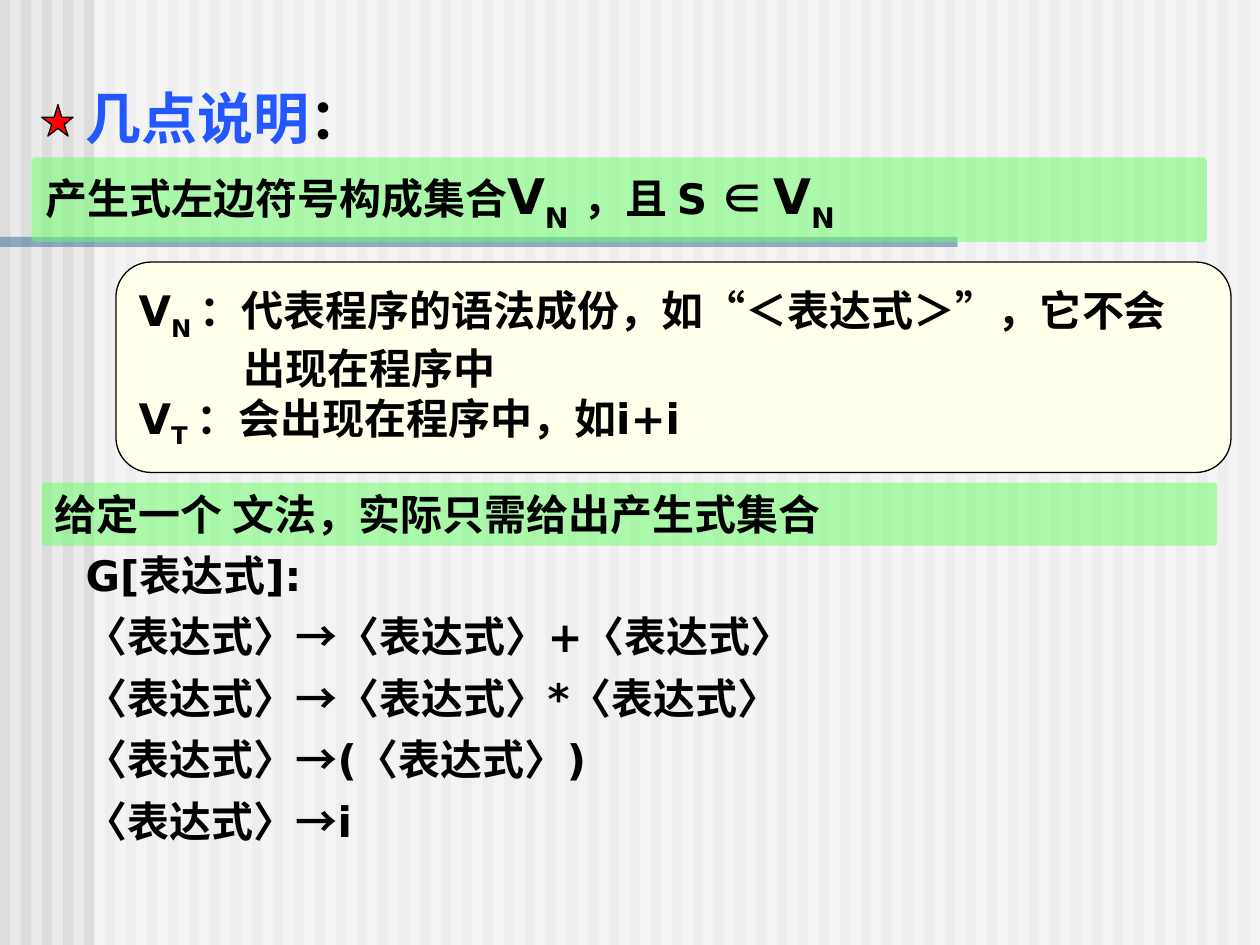
from lxml import etree
from pptx import Presentation
from pptx import util as u
from pptx.dml.color import RGBColor
from pptx.enum import shapes, text
from pptx.oxml import ns

hue = RGBColor.from_string
kind = shapes.MSO_SHAPE
align = text.PP_ALIGN
face = "DejaVu Sans"
cjk = "Noto Sans CJK SC"


def paint(shape, fill, alpha=100, edge=None):
    shape.shadow.inherit = False
    shape.fill.solid()
    shape.fill.fore_color.rgb = hue(fill)
    if alpha < 100:
        tint = shape.fill._xPr.find(".//" + ns.qn("a:srgbClr"))
        etree.SubElement(tint, ns.qn("a:alpha"), val=str(alpha * 1000))
    if edge:
        shape.line.color.rgb = hue(edge)
        shape.line.width = u.Pt(0.75)
    else:
        shape.line.fill.background()


def write(shape, lines, frame, para):
    body = shape.text_frame
    for name, val in {"word_wrap": True, "auto_size": text.MSO_AUTO_SIZE.NONE, **frame}.items():
        setattr(body, name, val)
    for n, line in enumerate(lines):
        p = body.paragraphs[0] if n == 0 else body.add_paragraph()
        prop = p._p.get_or_add_pPr()
        prop.set("marL", "0")
        prop.set("indent", "0")
        etree.SubElement(prop, ns.qn("a:buNone"))
        for name, val in {"space_before": u.Pt(0), **para}.items():
            setattr(p, name, val)
        if n == 0:
            p.space_before = u.Pt(0)
        for words, size, look in line:
            run = p.add_run()
            run.text = words
            style = {"size": u.Pt(size), "bold": True, "name": look.get("face", face)}
            for name, val in style.items():
                setattr(run.font, name, val)
            run.font.color.rgb = hue(look.get("color", "000000"))
            mark = run._r.get_or_add_rPr()
            etree.SubElement(mark, ns.qn("a:ea"), typeface=cjk)
            if "base" in look:
                mark.set("baseline", str(look["base"] * 1000))


deck = Presentation()
deck.slide_width, deck.slide_height = u.Inches(10), u.Inches(7.5)
slide = deck.slides.add_slide(deck.slide_layouts[1])
slide.background.fill.solid()
slide.background.fill.fore_color.rgb = hue("EAEAEA")
parts = slide.shapes
title, rules = parts.title, slide.placeholders[1]

decor = [(kind.RECTANGLE, (n / 6, 0, 0.08, 7.5), "DDDDDD", 100) for n in range(60)]
decor += [
    (kind.RECTANGLE, (0.75, 0, 9.25, 7.5), "FFFFFF", 50),
    (kind.RECTANGLE, (0, 1.88, 7.6, 0.08), "336699", 50),
]
for form, at, fill, alpha in decor:
    paint(parts.add_shape(form, *map(u.Inches, at)), fill, alpha)

for item, at in ((title, (0.58, 0.67, 2.58, 0.58)), (rules, (0.58, 4.42, 8, 2.34))):
    item.left, item.top, item.width, item.height = map(u.Inches, at)
    parts._spTree.append(item._element)

top = {"vertical_anchor": text.MSO_ANCHOR.TOP}
mid = {"vertical_anchor": text.MSO_ANCHOR.MIDDLE}
left = {"alignment": align.LEFT}
write(title, [[("几点说明", 32, {"color": "2357FF"}), ("：", 32, {})]],
      top, {**left, "line_spacing": 0.9})

sub = {"base": -30}
bars = [
    ((0.25, 1.25, 9.33, 0.67), [
        ("产生式左边符号构成集合", 24, {}), ("V", 28, {}), ("N", 28, sub),
        (" ，且 S ", 24, {}), ("∈ ", 24, {"face": cjk}), ("V", 28, {}), ("N", 28, sub)]),
    ((0.33, 3.83, 9.33, 0.5), [("给定一个 文法，实际只需给出产生式集合", 24, {})]),
]
for at, line in bars:
    bar = parts.add_shape(kind.ROUNDED_RECTANGLE, *map(u.Inches, at))
    bar.adjustments[0] = 0.05
    paint(bar, "66FF66", 50)
    write(bar, [line], mid, left)

grammar = ["G[表达式]:", "〈表达式〉→〈表达式〉+〈表达式〉", "〈表达式〉→〈表达式〉*〈表达式〉",
           "〈表达式〉→(〈表达式〉)", "〈表达式〉→i"]
write(rules, [[(line, 24, {})] for line in grammar], top,
      {"alignment": align.JUSTIFY, "line_spacing": 0.7, "space_before": u.Pt(15)})

dots = [(33, 93), (43, 93), (46, 83), (49, 93), (58, 93),
        (51, 99), (54, 108), (46, 102), (38, 108), (41, 99)]
path = parts.build_freeform(*dots[0], scale=u.Inches(0.01))
path.add_line_segments(dots[1:], close=True)
paint(path.convert_to_shape(), "FF0000", edge="000000")

note = parts.add_shape(kind.FLOWCHART_ALTERNATE_PROCESS, *map(u.Inches, (0.92, 2.08, 8.85, 1.67)))
paint(note, "FFFFEB", edge="000000")
low = {"base": -25}
write(note, [
    [("V", 24, {}), ("N ", 24, low), ("：代表程序的语法成份，如“＜表达式＞”，它不会", 24, {})],
    [("出现在程序中", 24, {})],
    [("V", 24, {}), ("T ", 24, low), ("：会出现在程序中，如i+i", 24, {})],
], mid, left)
note.text_frame.paragraphs[1]._p.pPr.set("marL", str(u.Inches(0.83)))

deck.save("out.pptx")
